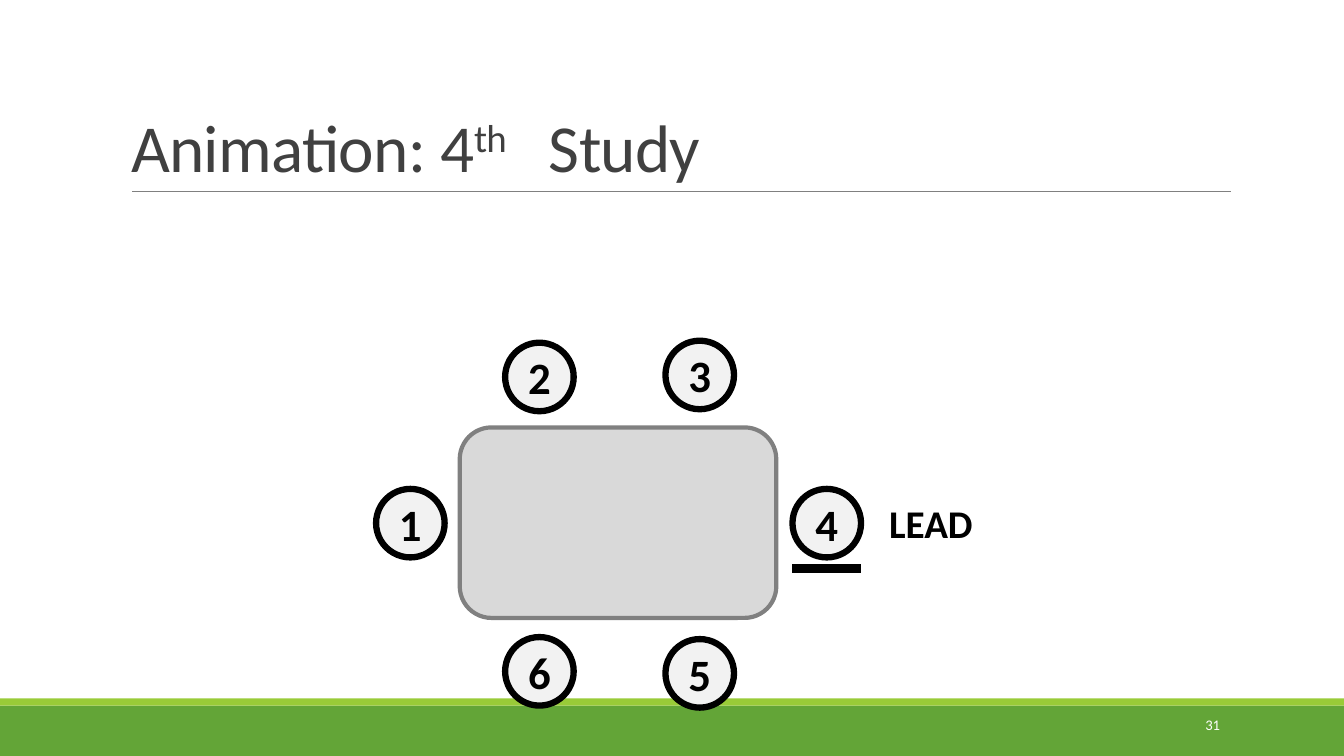
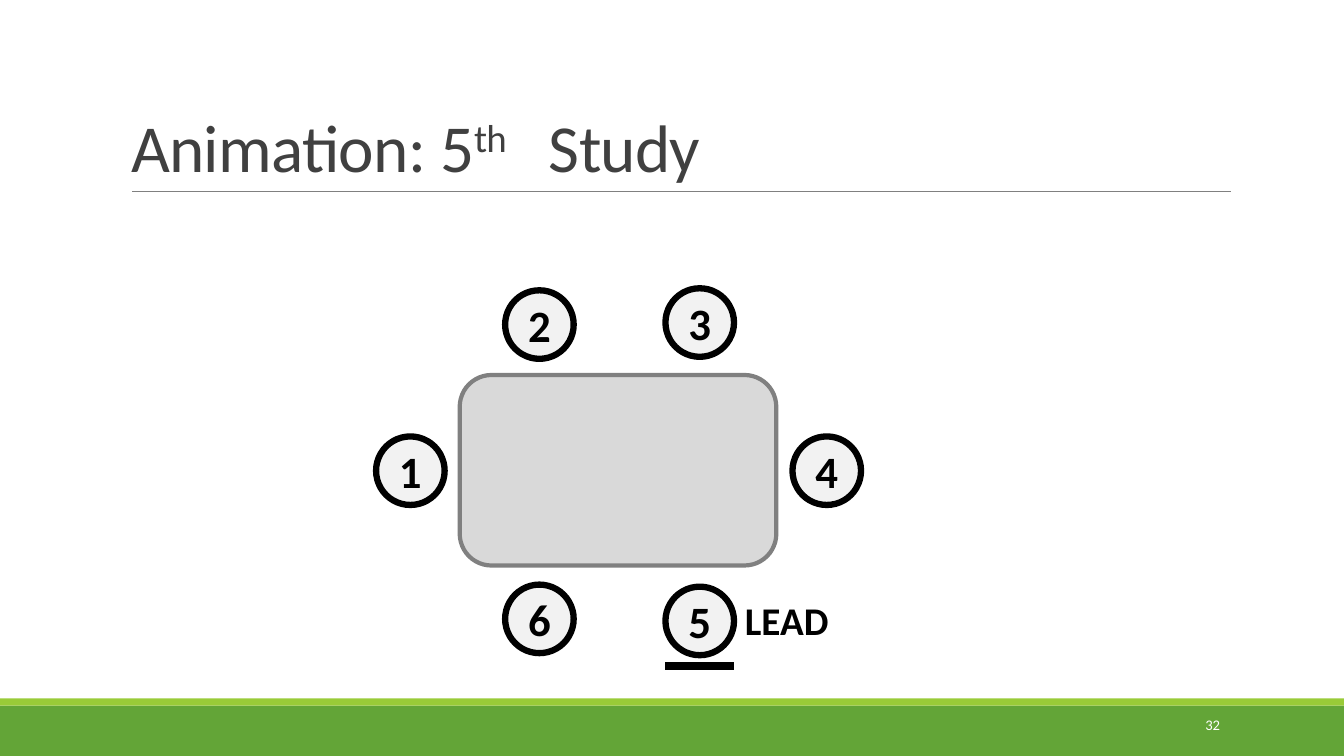
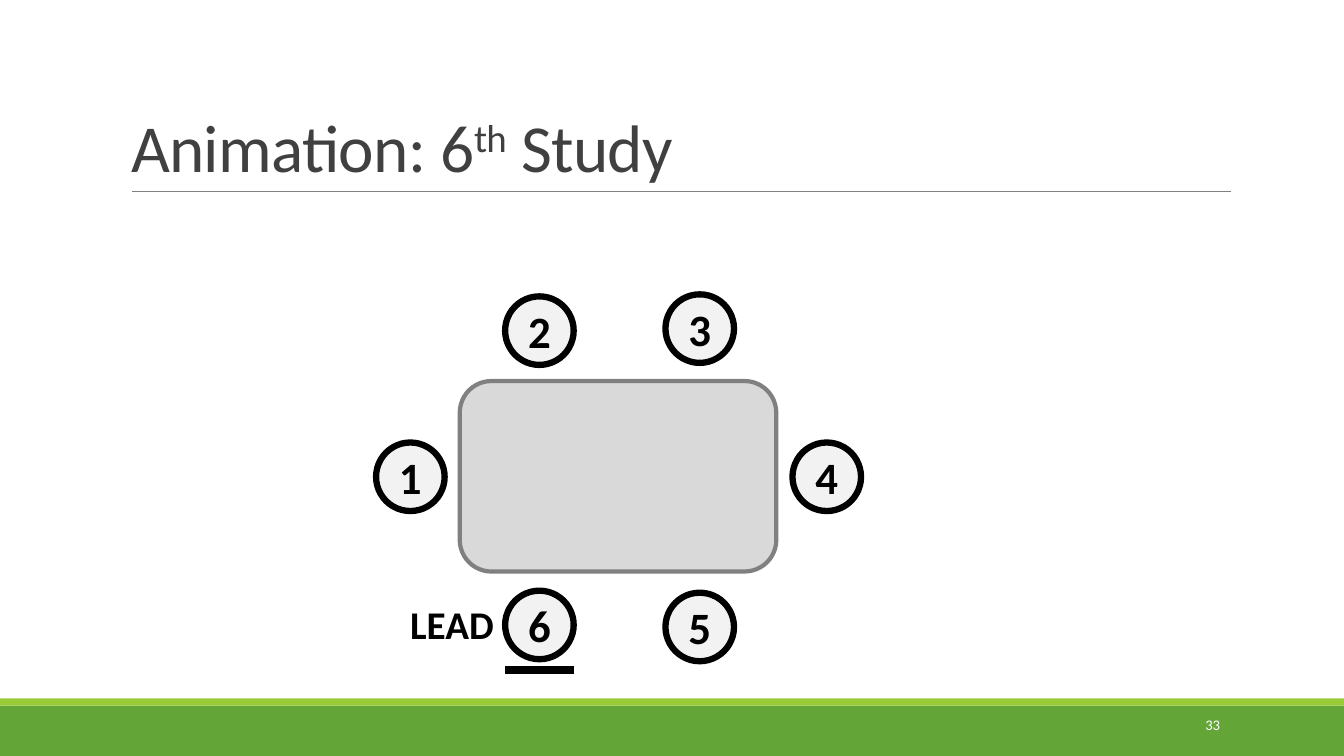
"""Three slides showing who leads at a six-seat table in the 4th to 6th study."""
from lxml.etree import SubElement
from pptx import Presentation
from pptx.dml.color import RGBColor
from pptx.enum.shapes import MSO_CONNECTOR, MSO_SHAPE
from pptx.enum.text import MSO_ANCHOR, MSO_AUTO_SIZE, PP_ALIGN
from pptx.oxml.ns import qn
from pptx.util import Inches, Pt

GREEN = RGBColor(0x63, 0xA5, 0x37)
LIME = RGBColor(0x99, 0xCB, 0x38)
TITLE_GRAY = RGBColor(0x40, 0x40, 0x40)
LINE_GRAY = RGBColor(0x80, 0x80, 0x80)
TABLE_GRAY = RGBColor(0xD9, 0xD9, 0xD9)
SEAT_GRAY = RGBColor(0xF2, 0xF2, 0xF2)
BLACK = RGBColor(0, 0, 0)
WHITE = RGBColor(0xFF, 0xFF, 0xFF)
FONT = "Calibri"

WIDTH, HEIGHT = 13.33, 7.5
SEAT = 0.68
TABLE_LEFT, TABLE_WIDTH, TABLE_HEIGHT = 4.56, 3.14, 1.89
FAR_LEFT, LEFT, RIGHT, FAR_RIGHT = 3.73, 5.01, 6.6, 7.86
ABOVE, BESIDE, BELOW = -0.84, 0.61, 2.08
STAGGER = 0.02
SEATS = {
    1: (FAR_LEFT, BESIDE),
    2: (LEFT, ABOVE),
    3: (RIGHT, ABOVE - STAGGER),
    4: (FAR_RIGHT, BESIDE),
    6: (LEFT, BELOW),
    5: (RIGHT, BELOW + STAGGER),
}
LABEL_WIDTH, LABEL_HEIGHT = 1.04, 0.57
BAR_GAP = 0.11
FIRST_NUMBER = 31
STUDIES = [
    (4, "\t Study", 4.24, FAR_RIGHT + SEAT + 0.18),
    (5, "\t Study", 3.72, RIGHT + SEAT + 0.01),
    (6, " Study", 3.78, LEFT - LABEL_WIDTH),
]


def add_box(slide, preset, place, fill, line=None, weight=0):
    """Add a filled preset shape, outlined when a line colour is given."""
    shape = slide.shapes.add_shape(preset, *map(Inches, place))
    shape.shadow.inherit = False
    shape.fill.solid()
    shape.fill.fore_color.rgb = fill
    if line is None:
        shape.line.fill.background()
    else:
        shape.line.color.rgb = line
        shape.line.width = Pt(weight)
    return shape


def add_rule(slide, left, right, top, color, weight):
    """Add a horizontal line without a shadow."""
    rule = slide.shapes.add_connector(
        MSO_CONNECTOR.STRAIGHT, Inches(left), Inches(top), Inches(right), Inches(top))
    rule.line.color.rgb = color
    rule.line.width = Pt(weight)
    SubElement(rule._element.spPr, qn("a:effectLst"))
    return rule


presentation = Presentation()
presentation.slide_width = Inches(WIDTH)
presentation.slide_height = Inches(HEIGHT)
layout = presentation.slide_layouts.get_by_name("Title Only")
slides = [presentation.slides.add_slide(layout) for study in STUDIES]

shared_shapes = [
    add_box(slides[0], MSO_SHAPE.RECTANGLE, (0, 7, WIDTH, 0.5), GREEN),
    add_box(slides[0], MSO_SHAPE.RECTANGLE, (0, 6.93, WIDTH, 0.07), LIME),
    add_rule(slides[0], 1.31, 12.21, 1.9, LINE_GRAY, 0.5),
]
for shape in shared_shapes:
    layout.shapes._spTree.append(shape._element)

for index, (slide, study) in enumerate(zip(slides, STUDIES)):
    leader, title_end, table_top, label_left = study

    title = slide.shapes.title
    title.left, title.top = Inches(1.2), Inches(0.31)
    title.width, title.height = Inches(11), Inches(1.59)
    title.text_frame.vertical_anchor = MSO_ANCHOR.BOTTOM
    title.text_frame.auto_size = MSO_AUTO_SIZE.NONE
    paragraph = title.text_frame.paragraphs[0]
    paragraph.alignment = PP_ALIGN.LEFT
    paragraph.line_spacing = 0.85
    for text, baseline in ((f"Animation: {leader}", 0), ("th", 30000), (title_end, 0)):
        run = paragraph.add_run()
        run.text = text
        run.font.name = FONT
        run.font.size = Pt(48)
        run.font.color.rgb = TITLE_GRAY
        properties = run._r.get_or_add_rPr()
        properties.set("spc", "-50")
        properties.set("baseline", str(baseline))

    number = slide.shapes.add_textbox(Inches(10.77), Inches(6.99), Inches(1.43), Inches(0.4))
    number.text_frame.word_wrap = True
    number.text_frame.vertical_anchor = MSO_ANCHOR.MIDDLE
    number.text_frame.text = str(FIRST_NUMBER + index)
    paragraph = number.text_frame.paragraphs[0]
    paragraph.alignment = PP_ALIGN.RIGHT
    paragraph.font.name = FONT
    paragraph.font.size = Pt(10.5)
    paragraph.font.color.rgb = WHITE

    add_box(slide, MSO_SHAPE.ROUNDED_RECTANGLE,
            (TABLE_LEFT, table_top, TABLE_WIDTH, TABLE_HEIGHT), TABLE_GRAY, LINE_GRAY, 3)

    for name, (left, offset) in SEATS.items():
        seat = add_box(slide, MSO_SHAPE.OVAL,
                       (left, table_top + offset, SEAT, SEAT), SEAT_GRAY, BLACK, 4.5)
        seat.text_frame.text = str(name)
        seat.text_frame.vertical_anchor = MSO_ANCHOR.MIDDLE
        paragraph = seat.text_frame.paragraphs[0]
        paragraph.alignment = PP_ALIGN.CENTER
        paragraph.font.name = FONT
        paragraph.font.size = Pt(32)
        paragraph.font.bold = True
        paragraph.font.color.rgb = BLACK

    leader_left, leader_offset = SEATS[leader]
    leader_top = table_top + leader_offset
    add_rule(slide, leader_left, leader_left + SEAT, leader_top + SEAT + BAR_GAP, BLACK, 6)

    label = slide.shapes.add_textbox(
        Inches(label_left), Inches(leader_top + 0.05), Inches(LABEL_WIDTH), Inches(LABEL_HEIGHT))
    label.text_frame.word_wrap = False
    label.text_frame.auto_size = MSO_AUTO_SIZE.SHAPE_TO_FIT_TEXT
    label.text_frame.text = "LEAD"
    paragraph = label.text_frame.paragraphs[0]
    paragraph.font.name = FONT
    paragraph.font.size = Pt(28)
    paragraph.font.bold = True
    paragraph.font.color.rgb = BLACK

presentation.save("out.pptx")
